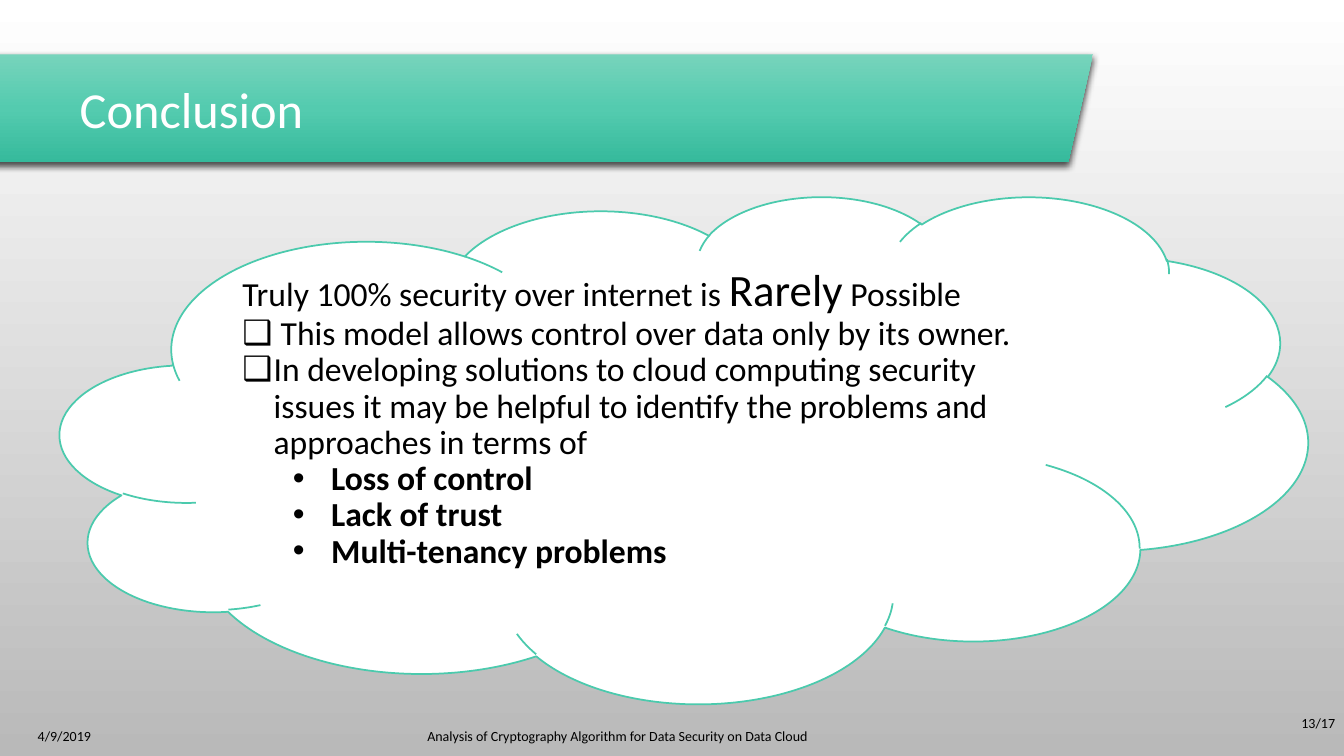
from copy import deepcopy
from dataclasses import dataclass

from lxml import etree
from pptx import Presentation
from pptx.dml.color import RGBColor
from pptx.enum import shapes as sh
from pptx.enum import text as tx
from pptx.oxml import ns
from pptx.util import Inches, Pt


@dataclass(frozen=True)
class Theme:
    font: str = "Calibri"
    ink: str = "000000"
    paper: str = "FFFFFF"
    edge: str = "4BCAAD"
    back: tuple[str, ...] = ("FFFFFF", "B9B9B9")
    band: tuple[str, ...] = ("77D4BC", "54CBAF", "36BA9C")
    head: int = 36
    big: int = 32
    body: int = 24
    small: int = 10


@dataclass(frozen=True)
class Box:
    left: float
    top: float
    width: float
    height: float


@dataclass(frozen=True)
class Run:
    text: str
    size: int
    bold: bool = False


@dataclass(frozen=True)
class Item:
    runs: tuple[Run, ...]
    mark: str = ""
    left: float = 0
    hang: float = 0
    level: int = 0


@dataclass(frozen=True)
class Note:
    text: str
    box: Box
    align: tx.PP_ALIGN


LOOK = Theme()
LEFT, RIGHT = tx.PP_ALIGN.LEFT, tx.PP_ALIGN.RIGHT


def sub(node, tag: str, **attrs):
    return etree.SubElement(node, ns.qn(tag), attrs)


def place(shape, box: Box) -> None:
    shape.left, shape.top = Inches(box.left), Inches(box.top)
    shape.width, shape.height = Inches(box.width), Inches(box.height)


def blend(fill, node, hues: tuple[str, ...]) -> None:
    fill.gradient()
    fill.gradient_angle = 270
    group = node.find(".//" + ns.qn("a:gsLst"))
    for _ in hues[2:]:
        group.insert(1, deepcopy(group[0]))
    for num, (stop, hue) in enumerate(zip(fill.gradient_stops, hues)):
        stop.color.rgb = RGBColor.from_string(hue)
        stop.position = num / (len(hues) - 1)


def shade(shape) -> None:
    effect = sub(shape.element.spPr, "a:effectLst")
    cast = sub(effect, "a:outerShdw", blurRad=str(Pt(5)), dist=str(Pt(2)),
               dir="5400000", algn="t", rotWithShape="0")
    hue = sub(cast, "a:srgbClr", val=LOOK.ink)
    sub(hue, "a:alpha", val="69000")


def setup(frame) -> None:
    frame.word_wrap = True
    frame.auto_size = tx.MSO_AUTO_SIZE.NONE
    frame.vertical_anchor = tx.MSO_ANCHOR.MIDDLE


def write(para, runs: tuple[Run, ...], hue: str, align: tx.PP_ALIGN = LEFT) -> None:
    para.alignment = align
    para.space_before = Pt(0)
    for part in runs:
        run = para.add_run()
        run.text = part.text
        run.font.name = LOOK.font
        run.font.size = Pt(part.size)
        run.font.bold = part.bold
        run.font.color.rgb = RGBColor.from_string(hue)


def bullet(para, item: Item) -> None:
    props = para._p.get_or_add_pPr()
    props.set("marL", str(Inches(item.left)))
    props.set("indent", str(-Inches(item.hang)))
    if item.mark:
        sub(props, "a:buChar", char=item.mark)
    else:
        sub(props, "a:buNone")


def banner(slide, label: str) -> None:
    band = slide.shapes.add_shape(sh.MSO_SHAPE.PARALLELOGRAM, 0, 0, 0, 0)
    place(band, Box(-0.35, 0.54, 11.19, 1.07))
    band.adjustments[0] = 0.23
    blend(band.fill, band.element, LOOK.band)
    band.line.fill.background()
    shade(band)
    title = slide.shapes.title
    title.element.addprevious(band.element)
    place(title, Box(0.69, 0.54, 9.7, 1.07))
    setup(title.text_frame)
    write(title.text_frame.paragraphs[0], (Run(label, LOOK.head),), LOOK.paper)


def cloud(shape, items: tuple[Item, ...]) -> None:
    place(shape, Box(0.6, 1.94, 12.37, 5.03))
    sub(sub(shape.element.spPr, "a:prstGeom", prst="cloud"), "a:avLst")
    shape.fill.solid()
    shape.fill.fore_color.rgb = RGBColor.from_string(LOOK.paper)
    shape.line.color.rgb = RGBColor.from_string(LOOK.edge)
    shape.line.width = Pt(1.25)
    frame = shape.text_frame
    setup(frame)
    frame.margin_bottom = Inches(0.41)
    for num, item in enumerate(items):
        para = frame.add_paragraph() if num else frame.paragraphs[0]
        para.level = item.level
        para.line_spacing = 0.9
        write(para, item.runs, LOOK.ink)
        bullet(para, item)


def footer(slide, note: Note) -> None:
    shape = slide.shapes.add_textbox(0, 0, 0, 0)
    place(shape, note.box)
    setup(shape.text_frame)
    write(shape.text_frame.paragraphs[0], (Run(note.text, LOOK.small),),
          LOOK.ink, note.align)


def plain(text: str) -> tuple[Run, ...]:
    return (Run(text, LOOK.body),)


RISKS = ("Loss of control", "Lack of trust", "Multi-tenancy problems")
ITEMS = (
    Item((Run("Truly 100% security over internet is ", LOOK.body),
          Run("Rarely", LOOK.big), Run(" Possible", LOOK.body))),
    Item(plain("This model allows control over data only by its owner."),
         "❑", 0.38, 0.38),
    Item(plain("In developing solutions to cloud computing security issues it may "
               "be helpful to identify the problems and approaches in terms of"),
         "❑", 0.31, 0.31),
    *(Item((Run(risk, LOOK.body, True),), "•", 0.88, 0.38, 1) for risk in RISKS),
)
NOTES = (
    Note("Analysis of Cryptography Algorithm for Data Security on Data Cloud",
         Box(4.14, 7.1, 4.25, 0.4), LEFT),
    Note("4/9/2019", Box(0.19, 7.1, 0.81, 0.4), RIGHT),
    Note("13/17", Box(12.5, 6.97, 0.84, 0.4), RIGHT),
)

deck = Presentation()
deck.slide_width, deck.slide_height = Inches(13.33), Inches(7.5)
slide = deck.slides.add_slide(deck.slide_layouts[1])
blend(slide.background.fill, slide.element, LOOK.back)
banner(slide, "Conclusion")
cloud(slide.placeholders[1], ITEMS)
for note in NOTES:
    footer(slide, note)
deck.save("out.pptx")
